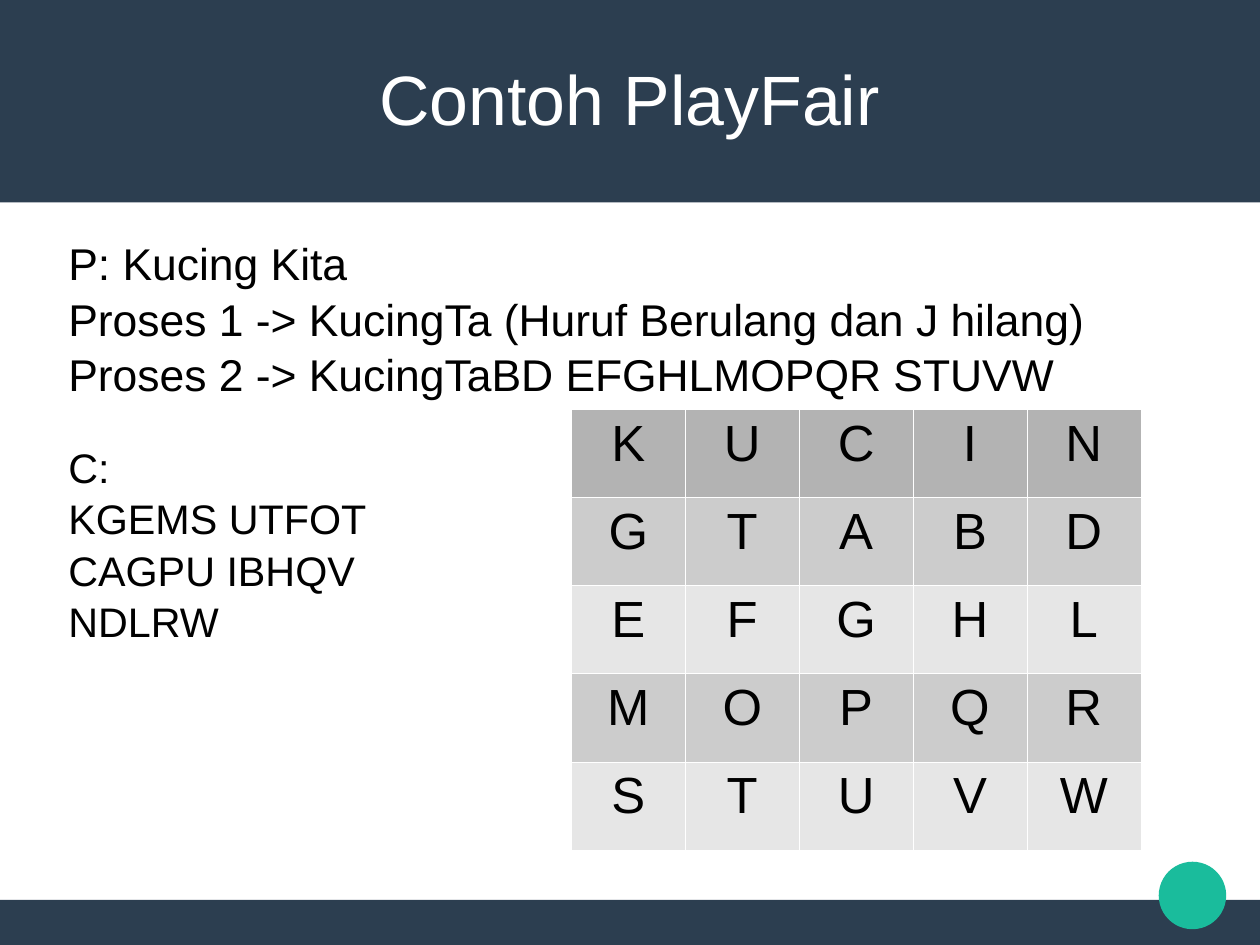
import pptx
import pptx.util
import pptx.dml.color
import pptx.enum.shapes
import pptx.enum.text
import pptx.oxml
import pptx.oxml.ns

Cm = pptx.util.Cm
Pt = pptx.util.Pt
RGBColor = pptx.dml.color.RGBColor
Shape = pptx.enum.shapes.MSO_SHAPE
Align = pptx.enum.text.PP_ALIGN
Anchor = pptx.enum.text.MSO_ANCHOR

NAVY = RGBColor(0x2C, 0x3E, 0x50)
TEAL = RGBColor(0x1A, 0xBC, 0x9C)
WHITE = RGBColor(0xFF, 0xFF, 0xFF)
BLACK = RGBColor(0, 0, 0)
DARK = RGBColor(0xB3, 0xB3, 0xB3)
GREY = RGBColor(0xCC, 0xCC, 0xCC)
LIGHT = RGBColor(0xE6, 0xE6, 0xE6)

FONT = "Arial"
WIDE, HIGH = 28, 21
GRID = ["KUCIN", "GTABD", "EFGHL", "MOPQR", "STUVW"]
STEPS = [
    "P: Kucing Kita",
    "Proses 1 -> KucingTa (Huruf Berulang dan J hilang)",
    "Proses 2 -> KucingTaBD EFGHLMOPQR STUVW",
]
CIPHER = ["C:", "KGEMS UTFOT CAGPU IBHQV NDLRW"]


def style(para, size, color, align=Align.LEFT):
    para.alignment = align
    para.font.size = Pt(size)
    para.font.name = FONT
    para.font.bold = False
    para.font.color.rgb = color


def add_fill(slide, kind, color, left, top, width, height):
    shape = slide.shapes.add_shape(kind, Cm(left), Cm(top), Cm(width), Cm(height))
    shape.shadow.inherit = False
    shape.fill.solid()
    shape.fill.fore_color.rgb = color
    shape.line.fill.background()


def add_head(slide, left, top, width, height):
    add_fill(slide, Shape.RECTANGLE, NAVY, left, top, width, height)
    title = slide.shapes.title
    title.left, title.top = Cm(left + 1), Cm(top + 0.84)
    title.width, title.height = Cm(width - 2), Cm(2.67)
    frame = title.text_frame
    frame.margin_left = frame.margin_right = 0
    frame.margin_top = frame.margin_bottom = 0
    frame.vertical_anchor = Anchor.MIDDLE
    frame.text = "Contoh PlayFair"
    style(frame.paragraphs[0], 44, WHITE, Align.CENTER)


def add_foot(slide, left, top, width, height):
    add_fill(slide, Shape.RECTANGLE, NAVY, left, top, width, height)
    add_fill(slide, Shape.OVAL, TEAL, left + width - 2.25, top - 0.85, 1.5, 1.5)


def add_lines(slide, lines, size, left, top, width, height):
    box = slide.shapes.add_textbox(Cm(left), Cm(top), Cm(width), Cm(height))
    frame = box.text_frame
    frame.word_wrap = True
    frame.text = "\n".join(lines)
    for para in frame.paragraphs:
        style(para, size, BLACK)
        para.line_spacing = 1.04


def add_edges(cell):
    props = cell._tc.get_or_add_tcPr()
    space = pptx.oxml.ns.nsdecls("a")
    for spot, side in enumerate(["lnL", "lnR", "lnT", "lnB"]):
        edge = pptx.oxml.parse_xml(
            f'<a:{side} {space} w="762"><a:solidFill>'
            f'<a:srgbClr val="{WHITE}"/></a:solidFill></a:{side}>'
        )
        props.insert(spot, edge)


def add_grid(slide, left, top, width, height):
    rows, cols = len(GRID), len(GRID[0])
    table = slide.shapes.add_table(
        rows, cols, Cm(left), Cm(top), Cm(width), Cm(height)
    ).table
    table.first_row = False
    table.horz_banding = False
    for row, word in enumerate(GRID):
        shade = DARK if row == 0 else GREY if row % 2 else LIGHT
        for col, letter in enumerate(word):
            cell = table.cell(row, col)
            cell.text = letter
            style(cell.text_frame.paragraphs[0], 32, BLACK, Align.CENTER)
            cell.fill.solid()
            cell.fill.fore_color.rgb = shade
            add_edges(cell)


def main():
    deck = pptx.Presentation()
    deck.slide_width, deck.slide_height = Cm(WIDE), Cm(HIGH)
    slide = deck.slides.add_slide(deck.slide_layouts[5])
    add_head(slide, 0, 0, WIDE, 4.5)
    add_foot(slide, 0, HIGH - 1, WIDE, 1)
    title = slide.shapes.title._element
    title.getparent().append(title)
    add_grid(slide, 12.7, 9.1, 12.65, 9.78)
    add_lines(slide, STEPS, 28, 1.27, 5.08, 25.65, 4)
    add_lines(slide, CIPHER, 26, 1.27, 9.65, 9.9, 4.35)
    deck.save("out.pptx")


if __name__ == "__main__":
    main()
